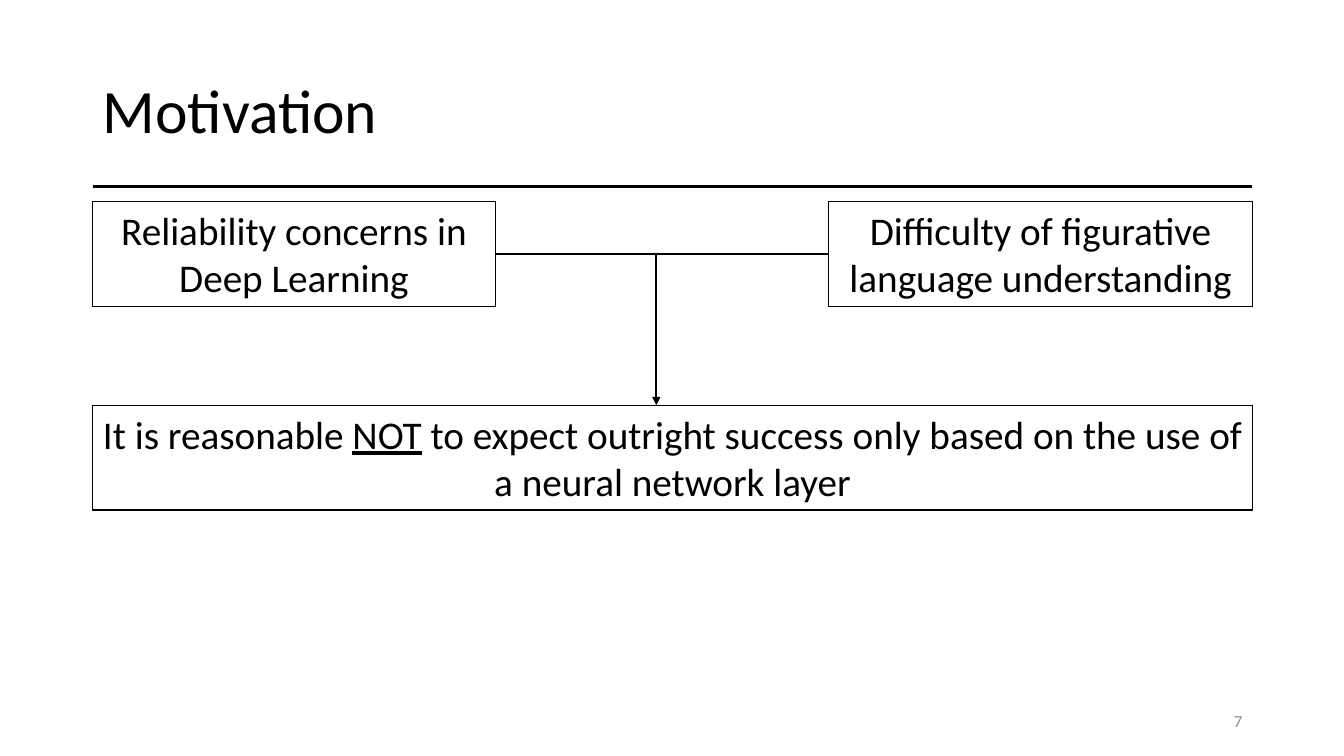
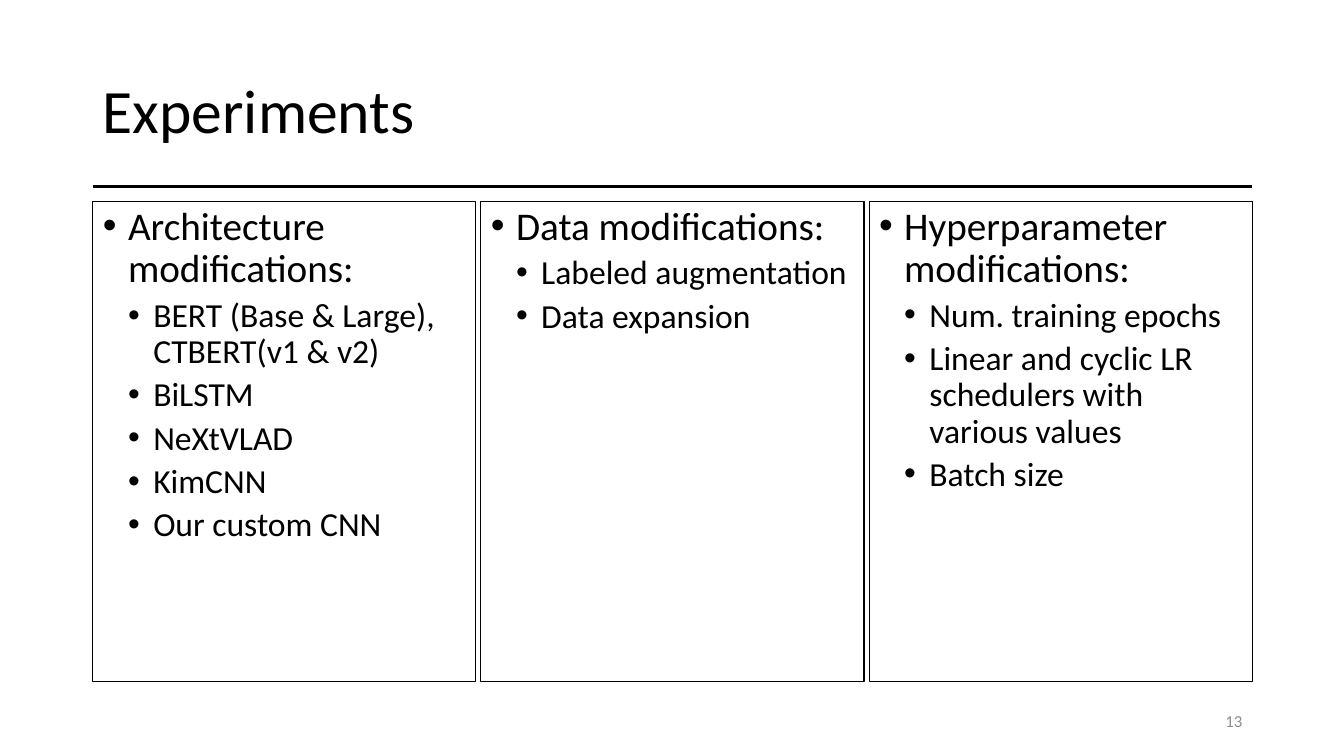
"""Build the Motivation and Experiments slides of a talk on figurative language."""
from lxml import etree
from pptx import Presentation
from pptx.dml.color import RGBColor
from pptx.enum.shapes import MSO_CONNECTOR
from pptx.enum.text import MSO_ANCHOR, MSO_AUTO_SIZE, PP_ALIGN
from pptx.oxml.ns import qn
from pptx.util import Inches, Pt

FONT = "Calibri"
BLACK, GREY = "000000", "8C8C8C"
LEFT, WIDTH, TOP = 0.92, 11.5, 2
RIGHT = LEFT + WIDTH
TITLE_ONLY, TITLE_AND_BODY = 5, 1

PREMISES = [
    (LEFT, 3.99, ["Reliability concerns in Deep Learning"]),
    (8.22, 4.2, ["Difficulty of figurative language understanding"]),
]
CONCLUSION = [
    "It is reasonable ",
    "NOT",
    " to expect outright success only based on the use of a neural network layer",
]
BOX_HEIGHT, CONCLUSION_TOP, ARROW_X = 1.04, 4.02, 6.51

COLUMNS = [
    ("Architecture modifications:", [
        "BERT (Base & Large), CTBERT(v1 & v2)",
        "BiLSTM",
        "NeXtVLAD",
        "KimCNN",
        "Our custom CNN",
    ]),
    ("Data modifications:", ["Labeled augmentation", "Data expansion"]),
    ("Hyperparameter modifications:", [
        "Num. training epochs",
        "Linear and cyclic LR schedulers with various values",
        "Batch size",
    ]),
]
COLUMN_WIDTH, COLUMN_HEIGHT = 3.8, 4.76


def color(value):
    return RGBColor.from_string(value)


def add_run(paragraph, text, size, value=BLACK):
    run = paragraph.add_run()
    run.text = text
    run.font.name = FONT
    run.font.size = Pt(size)
    run.font.color.rgb = color(value)
    return run


def place(shape, left, top, width, height):
    shape.left, shape.top = Inches(left), Inches(top)
    shape.width, shape.height = Inches(width), Inches(height)


def add_text_box(slide, left, top, width, height):
    shape = slide.shapes.add_textbox(
        Inches(left), Inches(top), Inches(width), Inches(height))
    shape.text_frame.word_wrap = True
    return shape


def outline(shape, points=0.75):
    shape.line.color.rgb = color(BLACK)
    shape.line.width = Pt(points)


def add_line(slide, start, end, points, kind=MSO_CONNECTOR.STRAIGHT):
    connector = slide.shapes.add_connector(
        kind, *[Inches(value) for value in (*start, *end)])
    outline(connector, points)
    etree.SubElement(connector._element.spPr, qn("a:effectLst"))
    return connector


def add_slide(presentation, layout, title_text, number):
    slide = presentation.slides.add_slide(presentation.slide_layouts[layout])
    add_line(slide, (LEFT, 1.85), (RIGHT, 1.85), 2)

    title = slide.shapes.title
    place(title, LEFT, 0.4, WIDTH, 1.45)
    title.text_frame.vertical_anchor = MSO_ANCHOR.MIDDLE
    paragraph = title.text_frame.paragraphs[0]
    paragraph.alignment = PP_ALIGN.LEFT
    paragraph.line_spacing = 0.9
    add_run(paragraph, title_text, 44)

    frame = add_text_box(slide, RIGHT - 3, 6.95, 3, 0.4).text_frame
    frame.vertical_anchor = MSO_ANCHOR.MIDDLE
    frame.paragraphs[0].alignment = PP_ALIGN.RIGHT
    add_run(frame.paragraphs[0], str(number), 12, GREY)
    return slide


def add_statement(slide, left, top, width, parts):
    shape = add_text_box(slide, left, top, width, BOX_HEIGHT)
    shape.text_frame.auto_size = MSO_AUTO_SIZE.SHAPE_TO_FIT_TEXT
    outline(shape)
    paragraph = shape.text_frame.paragraphs[0]
    paragraph.alignment = PP_ALIGN.CENTER
    for text in parts:
        run = add_run(paragraph, text, 28)
        if text == "NOT":
            run.font.underline = True


def add_bullet(paragraph, text, level, size, space_before):
    paragraph.level = level
    paragraph.line_spacing = 0.9
    paragraph.space_before = Pt(space_before)
    properties = paragraph._p.get_or_add_pPr()
    properties.set("marL", str(Inches(0.25 * (level + 1))))
    properties.set("indent", str(Inches(-0.25)))
    etree.SubElement(properties, qn("a:buFont"), typeface="Arial")
    etree.SubElement(properties, qn("a:buChar"), char="•")
    add_run(paragraph, text, size)


def fill_column(shape, heading, items):
    outline(shape)
    frame = shape.text_frame
    frame.auto_size = MSO_AUTO_SIZE.NONE
    frame.vertical_anchor = MSO_ANCHOR.TOP
    add_bullet(frame.paragraphs[0], heading, 0, 28, 0)
    for item in items:
        add_bullet(frame.add_paragraph(), item, 1, 24, 5)


def build_motivation(presentation):
    slide = add_slide(presentation, TITLE_ONLY, "Motivation", 7)
    for left, width, parts in PREMISES:
        add_statement(slide, left, TOP, width, parts)
    add_statement(slide, LEFT, CONCLUSION_TOP, WIDTH, CONCLUSION)

    middle = TOP + BOX_HEIGHT / 2
    first_left, first_width, _ = PREMISES[0]
    arrow = add_line(slide, (first_left + first_width, middle),
                     (ARROW_X, CONCLUSION_TOP), 1.25, MSO_CONNECTOR.ELBOW)
    guides = arrow._element.spPr.find(qn("a:prstGeom")).find(qn("a:avLst"))
    etree.SubElement(guides, qn("a:gd"), name="adj1", fmla="val 100000")
    etree.SubElement(arrow.line._get_or_add_ln(), qn("a:tailEnd"), type="triangle")
    add_line(slide, (ARROW_X, middle), (PREMISES[1][0], middle), 1.25)


def build_experiments(presentation):
    slide = add_slide(presentation, TITLE_AND_BODY, "Experiments", 13)
    step = (WIDTH - COLUMN_WIDTH) / (len(COLUMNS) - 1)
    for index, (heading, items) in enumerate(COLUMNS):
        area = (LEFT + index * step, TOP, COLUMN_WIDTH, COLUMN_HEIGHT)
        if index == 0:
            shape = slide.placeholders[1]
            place(shape, *area)
        else:
            shape = add_text_box(slide, *area)
        fill_column(shape, heading, items)


def main():
    presentation = Presentation()
    presentation.slide_width = Inches(13.33)
    presentation.slide_height = Inches(7.5)
    build_motivation(presentation)
    build_experiments(presentation)
    presentation.save("out.pptx")


if __name__ == "__main__":
    main()
